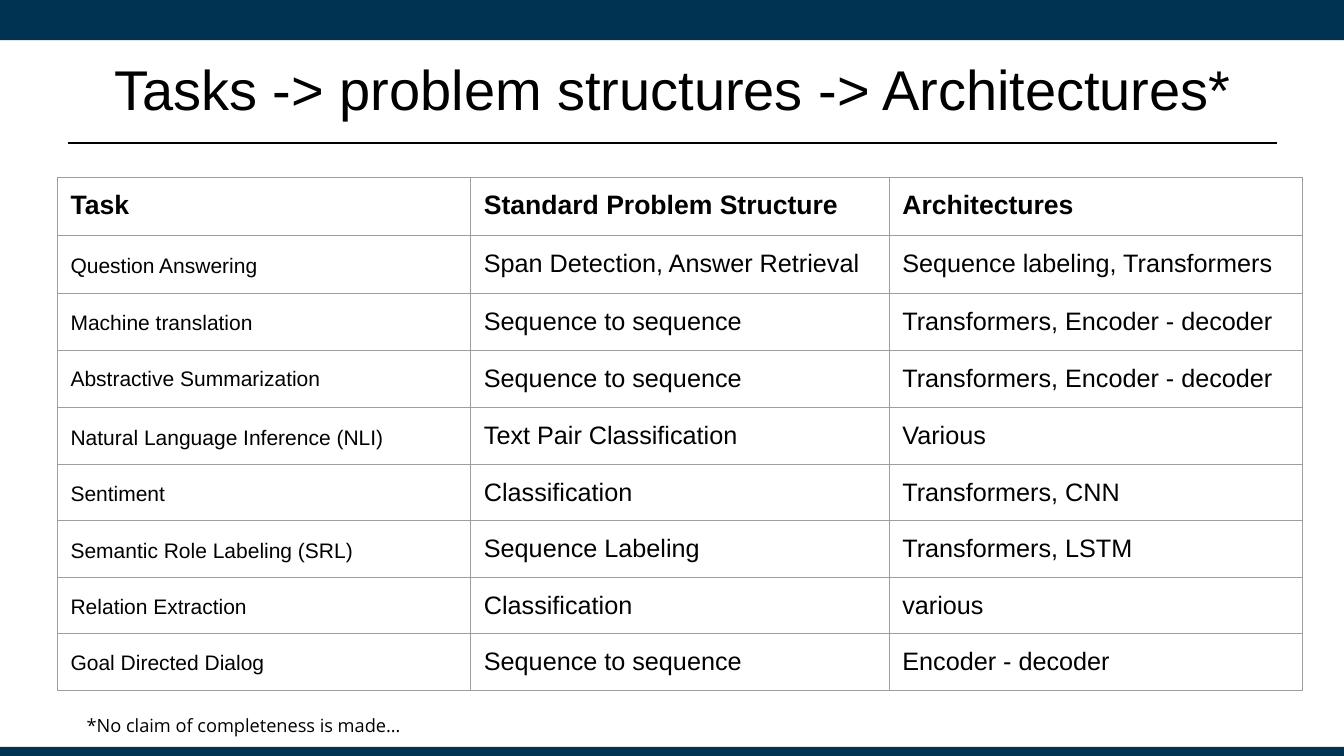
from pptx import Presentation
from pptx.dml.color import RGBColor
from pptx.enum.shapes import MSO_CONNECTOR, MSO_SHAPE
from pptx.enum.text import MSO_ANCHOR, PP_ALIGN
from pptx.oxml import parse_xml
from pptx.oxml.ns import nsdecls
from pptx.util import Inches, Pt

TITLE = "Tasks -> problem structures -> Architectures*"
NOTE = "*No claim of completeness is made…"
HEAD = ("Task", "Standard Problem Structure", "Architectures")
TASKS = [
    ("Question Answering", "Span Detection, Answer Retrieval", "Sequence labeling, Transformers"),
    ("Machine translation", "Sequence to sequence", "Transformers, Encoder - decoder"),
    ("Abstractive Summarization", "Sequence to sequence", "Transformers, Encoder - decoder"),
    ("Natural Language Inference (NLI)", "Text Pair Classification", "Various"),
    ("Sentiment", "Classification", "Transformers, CNN"),
    ("Semantic Role Labeling (SRL)", "Sequence Labeling", "Transformers, LSTM"),
    ("Relation Extraction", "Classification", "various"),
    ("Goal Directed Dialog", "Sequence to sequence", "Encoder - decoder"),
]
TIGHT = "Abstractive Summarization"
COLORS = {"bar": "003252", "ink": "000000", "grid": "9E9E9E"}
BARS = [(0, 0.4), (7.41, 0.09)]
WIDTHS = (4.1, 4.15, 4.1)
HEIGHTS = [0.57] * 4 + [0.55] * 5
PAD = 0.13


def color(name):
    return RGBColor.from_string(COLORS[name])


def style(para, size, face="Arial", bold=False):
    font = para.runs[0].font
    font.size, font.name, font.bold = Pt(size), face, bold
    font.color.rgb = color("ink")


def pad(item, x, y):
    item.margin_left = item.margin_right = Inches(x)
    item.margin_top = item.margin_bottom = Inches(y)


def add_text(slide, text, box, size, face="Arial"):
    frame = slide.shapes.add_textbox(*map(Inches, box)).text_frame
    frame.word_wrap = True
    frame.text = text
    style(frame.paragraphs[0], size, face)
    return frame


def add_border(cell):
    props = cell._tc.get_or_add_tcPr()
    for n, side in enumerate(("lnL", "lnR", "lnT", "lnB")):
        props.insert(n, parse_xml(
            f'<a:{side} {nsdecls("a")} w="{Pt(0.75)}"><a:solidFill>'
            f'<a:srgbClr val="{COLORS["grid"]}"/></a:solidFill></a:{side}>'))


def add_grid(slide):
    rows = [HEAD] + TASKS
    size = (0.57, 1.76, sum(WIDTHS), sum(HEIGHTS))
    frame = slide.shapes.add_table(len(rows), len(HEAD), *map(Inches, size))
    table = frame.table
    table.first_row = table.horz_banding = False
    for col, width in zip(table.columns, WIDTHS):
        col.width = Inches(width)
    for row, height in zip(table.rows, HEIGHTS):
        row.height = Inches(height)
    for r, row in enumerate(rows):
        for c, text in enumerate(row):
            cell = table.cell(r, c)
            cell.text = text
            cell.fill.background()
            pad(cell, PAD, PAD)
            add_border(cell)
            para = cell.text_frame.paragraphs[0]
            if r == 0:
                style(para, 19, bold=True)
                continue
            cell.vertical_anchor = MSO_ANCHOR.MIDDLE
            style(para, 18 if c else 15)
            if c == 0 and text != TIGHT:
                para.line_spacing = 1.15


def main():
    deck = Presentation()
    deck.slide_width, deck.slide_height = Inches(13.33), Inches(7.5)
    slide = deck.slides.add_slide(deck.slide_layouts[6])

    for top, height in BARS:
        bar = slide.shapes.add_shape(
            MSO_SHAPE.RECTANGLE, 0, Inches(top), deck.slide_width, Inches(height))
        bar.shadow.inherit = False
        bar.fill.solid()
        bar.fill.fore_color.rgb = color("bar")
        bar.line.fill.background()

    rule = slide.shapes.add_connector(
        MSO_CONNECTOR.STRAIGHT, *map(Inches, (0.67, 1.42, 12.67, 1.42)))
    rule.line.color.rgb = color("ink")
    rule.line.width = Pt(1.25)
    rule._element.spPr.append(parse_xml(f'<a:effectLst {nsdecls("a")}/>'))

    title = add_text(slide, TITLE, (0.67, 0.25, 12, 1.25), 40)
    title.vertical_anchor = MSO_ANCHOR.MIDDLE
    title.paragraphs[0].alignment = PP_ALIGN.CENTER
    pad(title, 0.1, 0.05)

    add_grid(slide)
    note = add_text(slide, NOTE, (0.73, 6.98, 10.18, 0.25), 13, "Open Sans")
    pad(note, PAD, PAD)
    deck.save("out.pptx")


if __name__ == "__main__":
    main()
